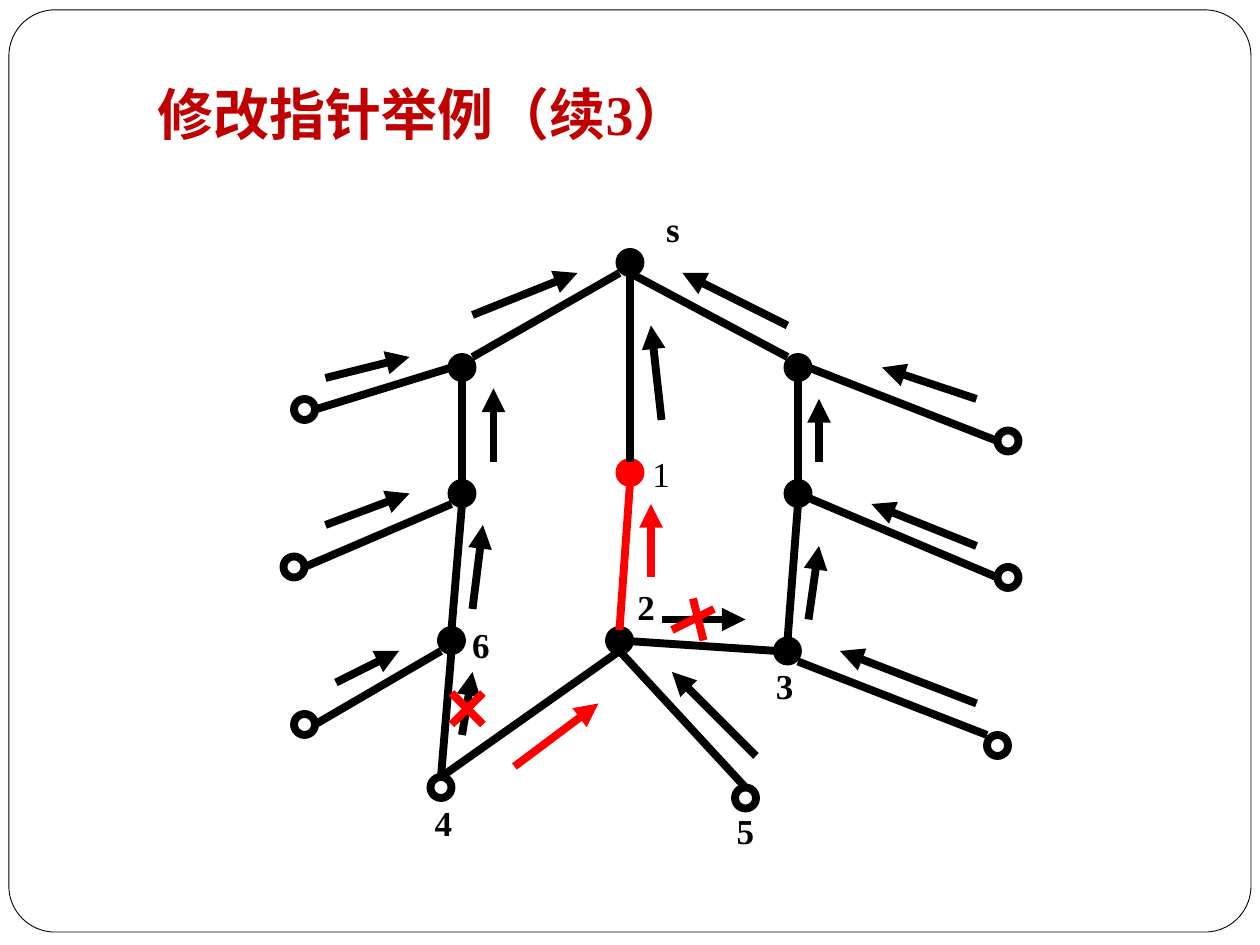
from lxml import etree
from pptx import Presentation
from pptx import util as u
from pptx.dml.color import RGBColor
from pptx.enum import shapes, text
from pptx.oxml import ns

BLACK = RGBColor(0x00, 0x00, 0x00)
WHITE = RGBColor(0xFF, 0xFF, 0xFF)
RED = RGBColor(0xFF, 0x00, 0x00)
TITLE_RED = RGBColor(0xC0, 0x00, 0x00)

FILLED_NODES = [(60, 25), (44, 35), (76, 35), (44, 47), (76, 47), (43, 61), (59, 61), (75, 62)]
OPEN_NODES = [(96, 42), (96, 55), (29, 39), (28, 54), (42, 75), (29, 69), (95, 71), (71, 76)]
RED_NODE = (60, 45)

EDGES = [
    (59, 26, 45, 34), (60, 26, 75, 34), (44, 36, 44, 46), (76, 36, 76, 46),
    (60, 26, 60, 44), (30, 39, 43, 35), (95, 42, 77, 35), (95, 55, 76, 47),
    (29, 54, 43, 48), (44, 48, 43, 60), (30, 69, 42, 62), (43, 62, 42, 74),
    (42, 74, 59, 62), (59, 62, 71, 75), (59, 61, 74, 62), (76, 48, 75, 61),
    (76, 63, 94, 70),
]
RED_EDGE = (60, 46, 59, 60)
POINTERS = [
    (45, 30, 55, 26), (31, 36, 39, 34), (47, 44, 47, 37), (45, 58, 46, 50),
    (75, 31, 65, 26), (63, 40, 62, 31), (93, 38, 84, 35), (93, 52, 83, 48),
    (93, 67, 80, 62), (78, 44, 78, 38), (77, 59, 78, 52), (63, 59, 71, 59),
    (72, 72, 64, 64), (31, 50, 39, 47), (44, 70, 45, 64), (32, 65, 38, 62),
]
NEW_POINTERS = [(49, 73, 57, 67), (62, 55, 62, 48)]
CROSS_STROKES = [(66, 57, 67, 61), (68, 58, 64, 60), (43, 66, 46, 69), (46, 66, 43, 69)]

LABELS = [
    ("1", 12.9, 9, False), ("2", 12.6, 11.68, True), ("3", 15.39, 13.28, True),
    ("4", 8.51, 16.03, True), ("5", 14.6, 16.2, True), ("6", 9.27, 12.45, True),
    ("s", 13.18, 4.06, True),
]


def grid(count):
    return u.Cm(count * 2.54 / 12)


class GraphSlide:
    """Draws graph elements on one slide in a shared style."""

    font = "Times New Roman"
    stroke = u.Pt(4.5)

    def __init__(self, slide):
        self.slide = slide

    def frame(self, left, top, width, height):
        shape = self.slide.shapes.add_shape(
            shapes.MSO_SHAPE.ROUNDED_RECTANGLE,
            u.Cm(left), u.Cm(top), u.Cm(width), u.Cm(height))
        shape.adjustments[0] = 0.05
        self.paint(shape, WHITE, BLACK, u.Pt(0.5))

    def paint(self, shape, fill, line, width):
        shape.shadow.inherit = False
        if fill is None:
            shape.fill.background()
        else:
            shape.fill.solid()
            shape.fill.fore_color.rgb = fill
        shape.line.color.rgb = line
        shape.line.width = width

    def node(self, center, fill, line=BLACK):
        x, y = center
        shape = self.slide.shapes.add_shape(
            shapes.MSO_SHAPE.OVAL, grid(x - 1), grid(y - 1), grid(2), grid(2))
        self.paint(shape, fill, line, self.stroke)

    def line(self, ends, color=BLACK, arrow=False):
        connector = self.slide.shapes.add_connector(
            shapes.MSO_CONNECTOR.STRAIGHT, *map(grid, ends))
        connector.line.color.rgb = color
        connector.line.width = self.stroke
        if arrow:
            outline = connector.line._get_or_add_ln()
            etree.SubElement(outline, ns.qn("a:tailEnd"), type="triangle")
        etree.SubElement(connector._element.spPr, ns.qn("a:effectLst"))

    def label(self, words, left, top, width, height, size=20, color=BLACK, bold=True):
        shape = self.slide.shapes.add_textbox(
            u.Cm(left), u.Cm(top), u.Cm(width), u.Cm(height))
        shape.text_frame.word_wrap = True
        shape.text_frame.auto_size = text.MSO_AUTO_SIZE.SHAPE_TO_FIT_TEXT
        paragraph = shape.text_frame.paragraphs[0]
        run = paragraph.add_run()
        run.text = words
        style = {"name": self.font, "size": u.Pt(size), "bold": bold}
        for name, value in style.items():
            setattr(run.font, name, value)
        run.font.color.rgb = color


def main():
    presentation = Presentation()
    presentation.slide_width = u.Cm(25.4)
    presentation.slide_height = u.Cm(19.05)
    graph = GraphSlide(presentation.slides.add_slide(presentation.slide_layouts[6]))

    graph.frame(0.18, 0.2, 25.04, 18.59)
    for center in FILLED_NODES:
        graph.node(center, BLACK)
    for center in OPEN_NODES:
        graph.node(center, None)
    graph.node(RED_NODE, RED, RED)

    for ends in EDGES:
        graph.line(ends)
    graph.line(RED_EDGE, RED)
    for ends in POINTERS:
        graph.line(ends, arrow=True)
    for ends in NEW_POINTERS:
        graph.line(ends, RED, arrow=True)
    for ends in CROSS_STROKES:
        graph.line(ends, RED)

    for words, left, top, bold in LABELS:
        graph.label(words, left, top, 1.42, 1.1, bold=bold)
    graph.label("修改指针举例（续3）", 2.92, 1.47, 17.25, 1.63, 32, TITLE_RED)
    presentation.save("out.pptx")


if __name__ == "__main__":
    main()
